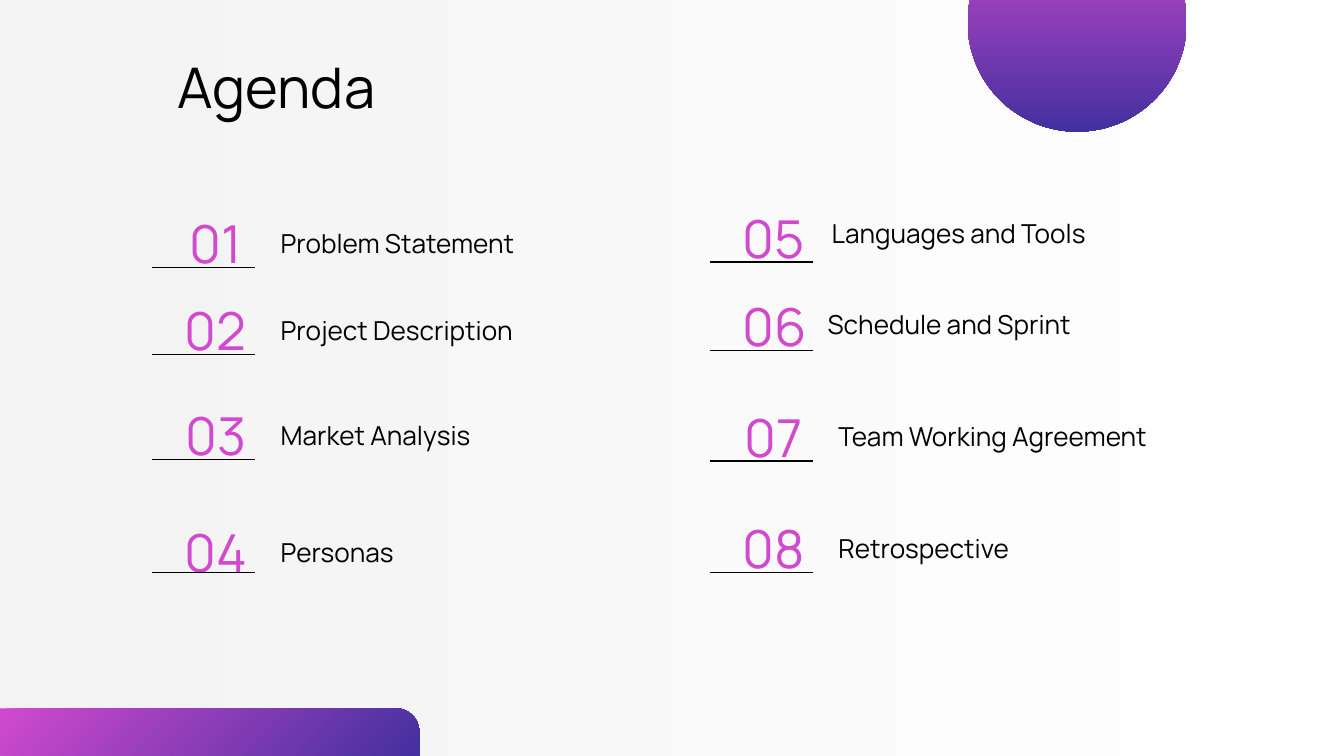
from dataclasses import dataclass

import pptx
import pptx.dml.color
import pptx.enum.shapes
import pptx.enum.text
import pptx.oxml.ns
import pptx.util

Inches = pptx.util.Inches
RGBColor = pptx.dml.color.RGBColor
LEFT = pptx.enum.text.PP_ALIGN.LEFT
CENTER = pptx.enum.text.PP_ALIGN.CENTER


@dataclass(frozen=True)
class Theme:
    font: str = "Manrope"
    black: RGBColor = RGBColor(0x00, 0x00, 0x00)
    white: RGBColor = RGBColor(0xFF, 0xFF, 0xFF)
    grey: RGBColor = RGBColor(0xF3, 0xF3, 0xF3)
    pink: RGBColor = RGBColor(0xD1, 0x49, 0xCE)
    indigo: RGBColor = RGBColor(0x43, 0x30, 0x9F)
    title_size: int = 30
    number_size: int = 28
    label_size: int = 14
    line_width: float = 0.75


THEME = Theme()
LINE_LENGTH = 0.77
NUMBER_WIDTH = 0.77
LABEL_WIDTH = 3.04
ROW_HEIGHT = 0.21

# Line left, then per item: label, number left and top, label left and top, line top
COLUMNS = [
    (1.13, [
        ("Problem Statement", 1.22, 1.70, 1.99, 1.70, 1.99),
        ("Project Description", 1.22, 2.35, 1.99, 2.35, 2.64),
        ("Market Analysis", 1.22, 3.13, 1.99, 3.13, 3.42),
        ("Personas", 1.22, 4.00, 1.99, 4.00, 4.26),
    ]),
    (5.28, [
        ("Languages and Tools", 5.37, 1.66, 6.09, 1.63, 1.95),
        ("Schedule and Sprint", 5.38, 2.32, 6.06, 2.31, 2.61),
        ("Team Working Agreement", 5.37, 3.14, 6.14, 3.14, 3.43),
        ("Retrospective", 5.37, 3.97, 6.14, 3.97, 4.26),
    ]),
]


def set_gradient(fill, start, end, clockwise_angle):
    fill.gradient()
    fill.gradient_angle = 360 - clockwise_angle
    for stop, color in zip(fill.gradient_stops, (start, end)):
        stop.color.rgb = color


def write_text(shape, text, size, color, alignment=LEFT):
    frame = shape.text_frame
    frame.text = text
    frame.word_wrap = True
    frame.auto_size = pptx.enum.text.MSO_AUTO_SIZE.NONE
    frame.vertical_anchor = pptx.enum.text.MSO_ANCHOR.MIDDLE
    frame.margin_left = frame.margin_right = Inches(0.1)
    frame.margin_top = frame.margin_bottom = Inches(0.1)
    paragraph = frame.paragraphs[0]
    paragraph.alignment = alignment
    font = paragraph.runs[0].font
    font.name = THEME.font
    font.size = pptx.util.Pt(size)
    font.color.rgb = color


def add_text(slide, left, top, width, *text_style):
    box = slide.shapes.add_textbox(
        Inches(left), Inches(top), Inches(width), Inches(ROW_HEIGHT))
    write_text(box, *text_style)


def add_gradient_shape(slide, kind, left, top, width, height, angle):
    shape = slide.shapes.add_shape(
        kind, Inches(left), Inches(top), Inches(width), Inches(height))
    shape.shadow.inherit = False
    shape.line.fill.background()
    set_gradient(shape.fill, THEME.pink, THEME.indigo, angle)
    return shape


def add_rule(slide, left, top):
    rule = slide.shapes.add_connector(
        pptx.enum.shapes.MSO_CONNECTOR.STRAIGHT, Inches(left), Inches(top),
        Inches(left + LINE_LENGTH), Inches(top))
    rule.line.color.rgb = THEME.black
    rule.line.width = pptx.util.Pt(THEME.line_width)
    properties = rule._element.spPr
    properties.append(properties.makeelement(pptx.oxml.ns.qn("a:effectLst"), {}))


def add_title(slide, text):
    title = slide.shapes.title
    title.left, title.top = Inches(1.22), Inches(0.38)
    title.width, title.height = Inches(8.44), Inches(0.52)
    write_text(title, text, THEME.title_size, THEME.black)


def add_agenda(slide):
    number = 0
    for line_left, items in COLUMNS:
        for label, number_left, number_top, label_left, label_top, line_top in items:
            number += 1
            add_text(slide, label_left, label_top, LABEL_WIDTH,
                     label, THEME.label_size, THEME.black)
            add_text(slide, number_left, number_top, NUMBER_WIDTH,
                     f"{number:02d}", THEME.number_size, THEME.pink, CENTER)
            add_rule(slide, line_left, line_top)


def main():
    presentation = pptx.Presentation()
    presentation.slide_width = Inches(10)
    presentation.slide_height = Inches(10) * 9 // 16
    slide = presentation.slides.add_slide(presentation.slide_layouts[5])
    set_gradient(slide.background.fill, THEME.white, THEME.grey, 180)

    shapes = pptx.enum.shapes.MSO_SHAPE
    corner = add_gradient_shape(
        slide, shapes.ROUND_1_RECTANGLE, 0, 5.27, 3.12, 0.35, 45)
    corner.adjustments[0] = 0.5
    add_gradient_shape(slide, shapes.OVAL, 7.2, -0.65, 1.63, 1.63, 90)
    add_title(slide, "Agenda")
    add_agenda(slide)
    presentation.save("out.pptx")


if __name__ == "__main__":
    main()
